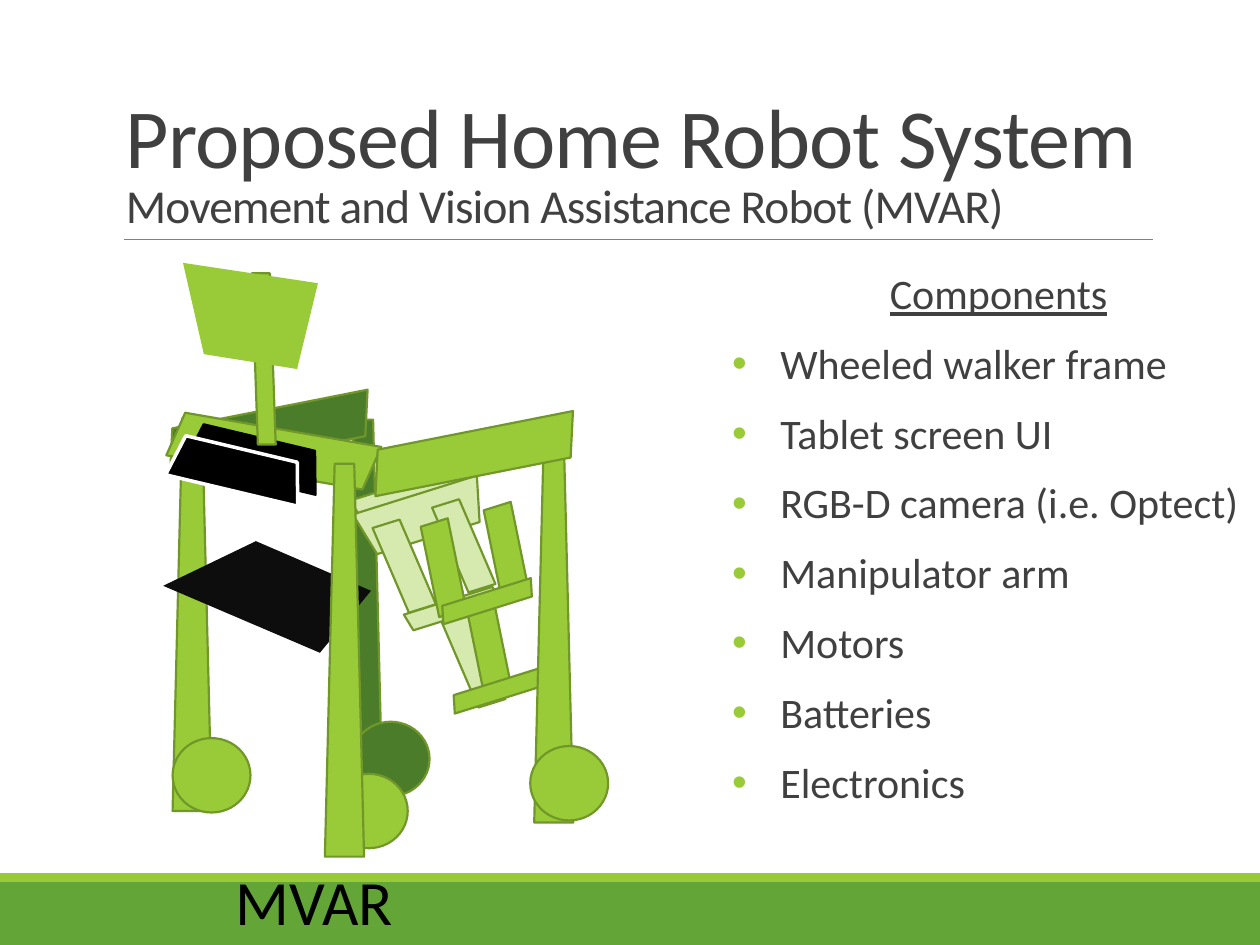
from typing import NamedTuple

from lxml import etree
from pptx import Presentation
from pptx import util as u
from pptx.dml.color import RGBColor
from pptx.enum import shapes, text
from pptx.oxml.ns import qn

COLORS = {
    "lime": "99CB38", "outline": "719629", "shade": "4A7C29", "pale": "D6EAAF",
    "footer": "63A537", "rule": "808080", "text": "404040",
    "black": "000000", "shelf": "0D0D0D", "white": "FFFFFF",
}
FONT = "Calibri"
KIND = shapes.MSO_SHAPE
TRAPEZOID, SLANT, WHEEL = KIND.TRAPEZOID, KIND.PARALLELOGRAM, KIND.OVAL

# Sizes of the repeated robot parts, in cm
LEG = (0.79, 7.92)
RAIL = (4.24, 0.91)
PALM = (2.62, 0.91)
FINGER = (0.76, 1.85)
CROSSBAR = (1.96, 0.36)
ROUND = (1.57, 1.5)
TRAY = (2.74, 0.86)
ARM_TILT, RAIL_TILT, TRAY_TILT = -17.4, -11.2, 13.4


class Part(NamedTuple):
    kind: KIND
    left: float
    top: float
    size: tuple[float, float]
    fill: str = "lime"
    tilt: float = 0
    flip: str = ""
    line: str = "outline"
    weight: float = 1.25


class Panel(NamedTuple):
    corners: list[tuple[float, float]]
    fill: str


def arm_part(kind: KIND, left: float, top: float, size: tuple[float, float],
             ghost: bool = False) -> Part:
    """One piece of the manipulator; the ghost pose is pale and mirrored."""
    return Part(kind, left, top, size, "pale" if ghost else "lime",
                ARM_TILT, "flipV" if ghost else "")


ROBOT = [
    Part(TRAPEZOID, 6.93, 8.46, LEG, "shade"),
    # Manipulator arm, ghost pose
    arm_part(TRAPEZOID, 7.14, 9.68, PALM, True),
    arm_part(TRAPEZOID, 7.19, 9.96, PALM, True),
    arm_part(SLANT, 7.77, 10.49, FINGER, True),
    arm_part(SLANT, 8.97, 10.08, FINGER, True),
    arm_part(SLANT, 9.17, 12.4, FINGER, True),
    arm_part(SLANT, 8.15, 12.09, CROSSBAR, True),
    # Manipulator arm, front pose
    arm_part(SLANT, 8.56, 10.52, FINGER),
    arm_part(SLANT, 9.83, 10.19, FINGER),
    arm_part(SLANT, 9.5, 12.24, FINGER),
    arm_part(SLANT, 8.84, 11.94, CROSSBAR),
    arm_part(SLANT, 9.07, 13.74, CROSSBAR),
    # Walker frame
    Part(WHEEL, 7.09, 14.55, ROUND, "shade"),
    Part(SLANT, 3.3, 8.26, RAIL, "shade", RAIL_TILT),
    Part(TRAPEZOID, 3.48, 8.43, LEG),
    Part(TRAPEZOID, 10.77, 8.66, LEG),
    Part(SLANT, 3.4, 8.64, RAIL, tilt=9.9),
    Part(SLANT, 7.44, 8.69, RAIL, tilt=RAIL_TILT),
    # Camera trays, neck and tablet
    Part(TRAPEZOID, 3.76, 8.81, TRAY, "black", TRAY_TILT, line="black"),
    Part(SLANT, 5.08, 5.51, (0.48, 3.45), flip="flipH"),
    Part(TRAPEZOID, 3.4, 9.04, TRAY, "black", TRAY_TILT, line="white", weight=2),
    Panel([(3.69, 5.3), (6.41, 5.71), (5.99, 7.44), (4.11, 7.14)], "lime"),
    # Front wheels, shelf and front leg
    Part(WHEEL, 3.48, 14.88, ROUND),
    Part(WHEEL, 6.65, 15.6, ROUND),
    Part(WHEEL, 10.69, 15.04, ROUND),
    Panel([(3.29, 11.81), (5.16, 10.91), (7.48, 11.91), (6.45, 13.16)], "shelf"),
    Part(TRAPEZOID, 6.55, 9.35, LEG),
]
COMPONENTS = [
    "Wheeled walker frame", "Tablet screen UI", "RGB-D camera (i.e. Optect)",
    "Manipulator arm", "Motors", "Batteries", "Electronics",
]


def color(name: str) -> RGBColor:
    return RGBColor.from_string(COLORS[name])


def paint(shape, fill: str, line: str = "", weight: float = 1.25) -> None:
    shape.shadow.inherit = False
    shape.fill.solid()
    shape.fill.fore_color.rgb = color(fill)
    if line:
        shape.line.color.rgb = color(line)
        shape.line.width = u.Pt(weight)
    else:
        shape.line.fill.background()


def draw_part(page, part: Part) -> None:
    box = [u.Cm(value) for value in (part.left, part.top, *part.size)]
    shape = page.shapes.add_shape(part.kind, *box)
    shape.rotation = part.tilt
    if part.flip:
        shape._element.spPr.xfrm.set(part.flip, "1")
    paint(shape, part.fill, part.line, part.weight)


def draw_panel(page, panel: Panel) -> None:
    first, *rest = [(u.Cm(x), u.Cm(y)) for x, y in panel.corners]
    outline = page.shapes.build_freeform(*first)
    outline.add_line_segments(rest, close=True)
    paint(outline.convert_to_shape(), panel.fill)


def draw_band(page, top: float, height: float, fill: str) -> None:
    band = page.shapes.add_shape(KIND.RECTANGLE, 0, u.Cm(top), u.Cm(25.4), u.Cm(height))
    paint(band, fill)


def add_text_box(page, left: float, top: float, width: float, height: float):
    box = page.shapes.add_textbox(u.Cm(left), u.Cm(top), u.Cm(width), u.Cm(height))
    box.text_frame.word_wrap = True
    return box.text_frame


def set_font(font, size: float, name: str = "text") -> None:
    font.name = FONT
    font.size = u.Pt(size)
    font.color.rgb = color(name)


def set_indent(para, indent: float) -> None:
    properties = para._p.get_or_add_pPr()
    properties.set("marL", str(u.Cm(indent)))
    properties.set("indent", str(-u.Cm(indent)))


def add_bullet(para) -> None:
    properties = para._p.get_or_add_pPr()
    bullet_color = etree.SubElement(properties, qn("a:buClr"))
    etree.SubElement(bullet_color, qn("a:srgbClr"), val=COLORS["lime"])
    etree.SubElement(properties, qn("a:buFont"), typeface="Arial")
    etree.SubElement(properties, qn("a:buChar"), char="•")


def draw_title(page) -> None:
    frame = add_text_box(page, 2.29, 0.79, 20.96, 4.04)
    frame.vertical_anchor = text.MSO_ANCHOR.BOTTOM
    para = frame.paragraphs[0]
    para.line_spacing = 0.85
    lines = [("Proposed Home Robot System", 48),
             ("Movement and Vision Assistance Robot (MVAR)", 27)]
    for index, (words, size) in enumerate(lines):
        if index:
            para.add_line_break()
        span = para.add_run()
        span.text = words
        set_font(span.font, size)
        span.font._element.set("spc", "-50")


def draw_components(page) -> None:
    frame = add_text_box(page, 14.76, 5.38, 10.74, 8.66)
    frame.margin_left = frame.margin_right = 0
    for index, words in enumerate(["Components", *COMPONENTS]):
        para = frame.add_paragraph() if index else frame.paragraphs[0]
        para.text = words
        para.line_spacing = 0.9
        para.space_after = u.Pt(2)
        if index:
            para.space_before = u.Pt(12)
            set_indent(para, 0.97)
            add_bullet(para)
        else:
            para.alignment = text.PP_ALIGN.CENTER
            set_indent(para, 0.25)
            para.font.underline = True
        set_font(para.font, 24)


def main() -> None:
    deck = Presentation()
    deck.slide_width, deck.slide_height = u.Cm(25.4), u.Cm(19.05)
    page = deck.slides.add_slide(deck.slide_layouts[6])

    # Footer bands and title rule
    draw_band(page, 17.78, 1.27, "footer")
    draw_band(page, 17.6, 0.18, "lime")
    rule = page.shapes.add_connector(shapes.MSO_CONNECTOR.STRAIGHT, u.Cm(2.49),
                                     u.Cm(4.83), u.Cm(23.24), u.Cm(4.83))
    rule.line.color.rgb = color("rule")
    rule.line.width = u.Pt(0.5)
    etree.SubElement(rule._element.spPr, qn("a:effectLst"))

    draw_title(page)
    draw_components(page)

    # Robot, from back to front
    for piece in ROBOT:
        if isinstance(piece, Panel):
            draw_panel(page, piece)
        else:
            draw_part(page, piece)

    # Robot caption
    caption = add_text_box(page, 4.5, 17.27, 8.26, 1.8).paragraphs[0]
    caption.text = "MVAR"
    set_font(caption.font, 36, "black")

    deck.save("out.pptx")


if __name__ == "__main__":
    main()
